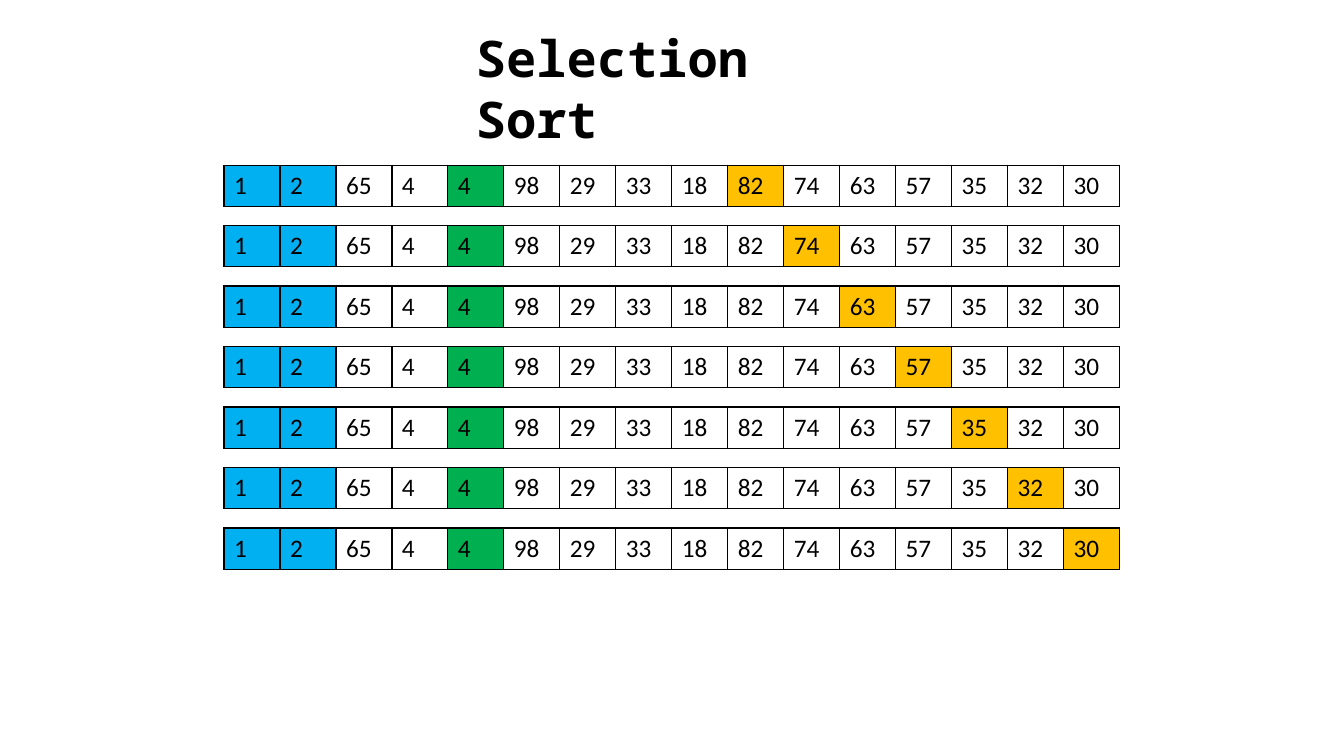
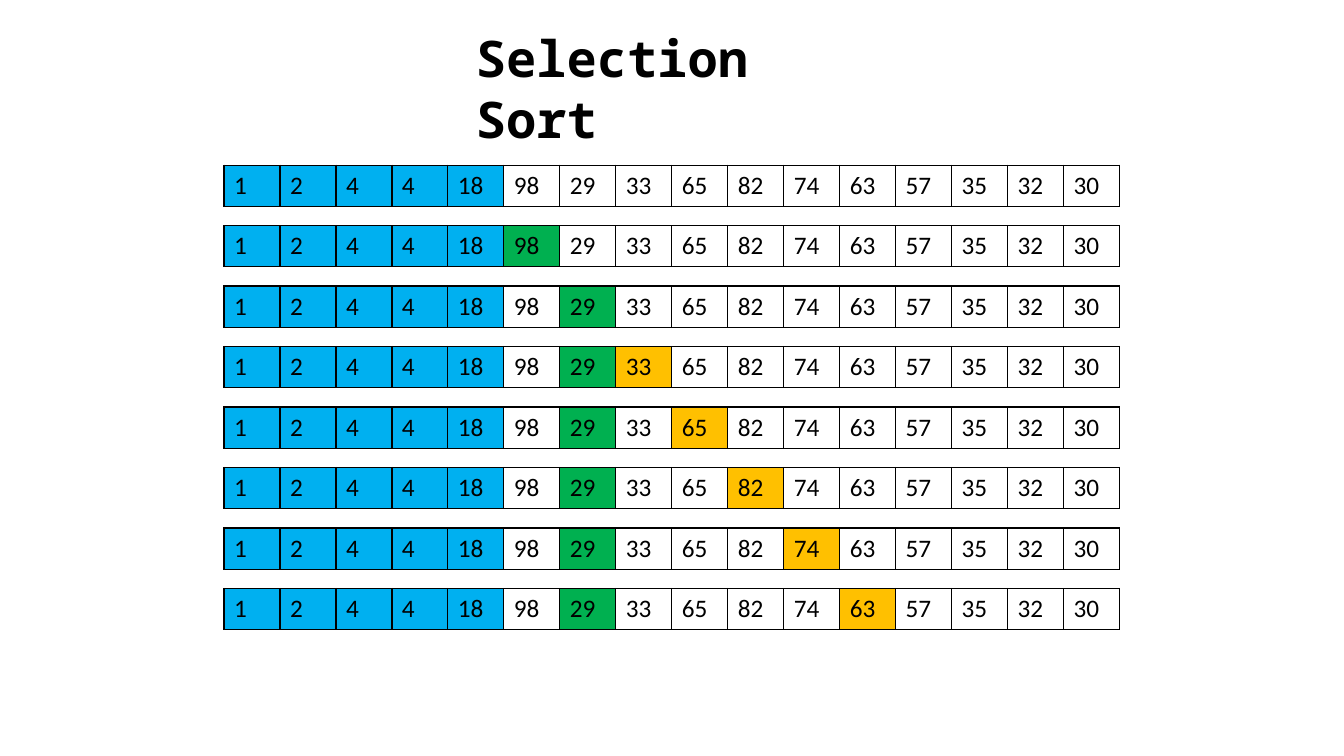
from dataclasses import dataclass

from lxml.etree import SubElement
from pptx import Presentation
from pptx.dml.color import RGBColor
from pptx.enum.text import MSO_AUTO_SIZE
from pptx.oxml.ns import qn
from pptx.util import Inches, Pt

WIDE, HIGH = Inches(13.33), Inches(7.5)
COL, ROW = WIDE / 24, HIGH / 12.5


@dataclass(frozen=True)
class Theme:
    """Colours, fonts and sizes shared by the slides."""
    ink: str = "000000"
    done: str = "00B0F0"
    best: str = "00B050"
    scan: str = "FFC000"
    edge: float = 1
    head: tuple = (("name", "Noto Sans Mono"), ("size", Pt(36)), ("bold", True))
    body: tuple = (("name", "Calibri"), ("size", Pt(18)), ("bold", False))


THEME = Theme()


def place(left, top, width, height):
    """Turn grid columns and rows into slide lengths."""
    return [round(n) for n in (left * COL, top * ROW, width * COL, height * ROW)]


def write(frame, text, style):
    """Put one styled run into a text frame."""
    run = frame.paragraphs[0].add_run()
    run.text = text
    for key, value in dict(style).items():
        setattr(run.font, key, value)
    run.font.color.rgb = RGBColor.from_string(THEME.ink)


def add_title(slide, text):
    """Add the slide title."""
    frame = slide.shapes.add_textbox(*place(8.32, 0.37, 7.36, 1.18)).text_frame
    form = {"word_wrap": True, "auto_size": MSO_AUTO_SIZE.SHAPE_TO_FIT_TEXT}
    for key, value in form.items():
        setattr(frame, key, value)
    write(frame, text, THEME.head)


def add_edge(cell):
    """Draw a thin line on all four sides of a cell."""
    props = cell._tc.get_or_add_tcPr()
    for side in ("lnL", "lnR", "lnT", "lnB"):
        line = SubElement(props, qn(f"a:{side}"), w=str(Pt(THEME.edge)))
        fill = SubElement(line, qn("a:solidFill"))
        SubElement(fill, qn("a:srgbClr"), val=THEME.ink)


def add_list(slide, top, items, fills):
    """Add one state of the list as a single-row table, one column per item."""
    count = len(items)
    table = slide.shapes.add_table(1, count, *place(4, top, count, 0.68)).table
    for key in ("first_row", "horz_banding"):
        setattr(table, key, False)
    for spot, item in enumerate(items):
        cell = table.cell(0, spot)
        write(cell.text_frame, str(item), THEME.body)
        add_edge(cell)
        if spot in fills:
            cell.fill.solid()
            cell.fill.fore_color.rgb = RGBColor.from_string(fills[spot])
        else:
            cell.fill.background()


def add_pass(deck, items, done, steps):
    """Add a slide whose steps are pairs: best index so far, index in test."""
    slide = deck.slides.add_slide(deck.slide_layouts[6])
    add_title(slide, "Selection Sort")
    for step, (best, scan) in enumerate(steps):
        fills = dict.fromkeys(range(done), THEME.done)
        fills |= {best: THEME.best, scan: THEME.scan}
        add_list(slide, 2.73 + step, items, fills)


def main():
    """Build and save the deck."""
    deck = Presentation()
    for key, value in {"slide_width": WIDE, "slide_height": HIGH}.items():
        setattr(deck, key, value)
    tail = [82, 74, 63, 57, 35, 32, 30]
    add_pass(deck, [1, 2, 65, 4, 4, 98, 29, 33, 18] + tail, 2,
             [(4, scan) for scan in range(9, 16)])
    add_pass(deck, [1, 2, 4, 4, 18, 98, 29, 33, 65] + tail, 5,
             [(None, None), (5, None), (6, None)]
             + [(6, scan) for scan in range(7, 12)])
    deck.save("out.pptx")


main()
